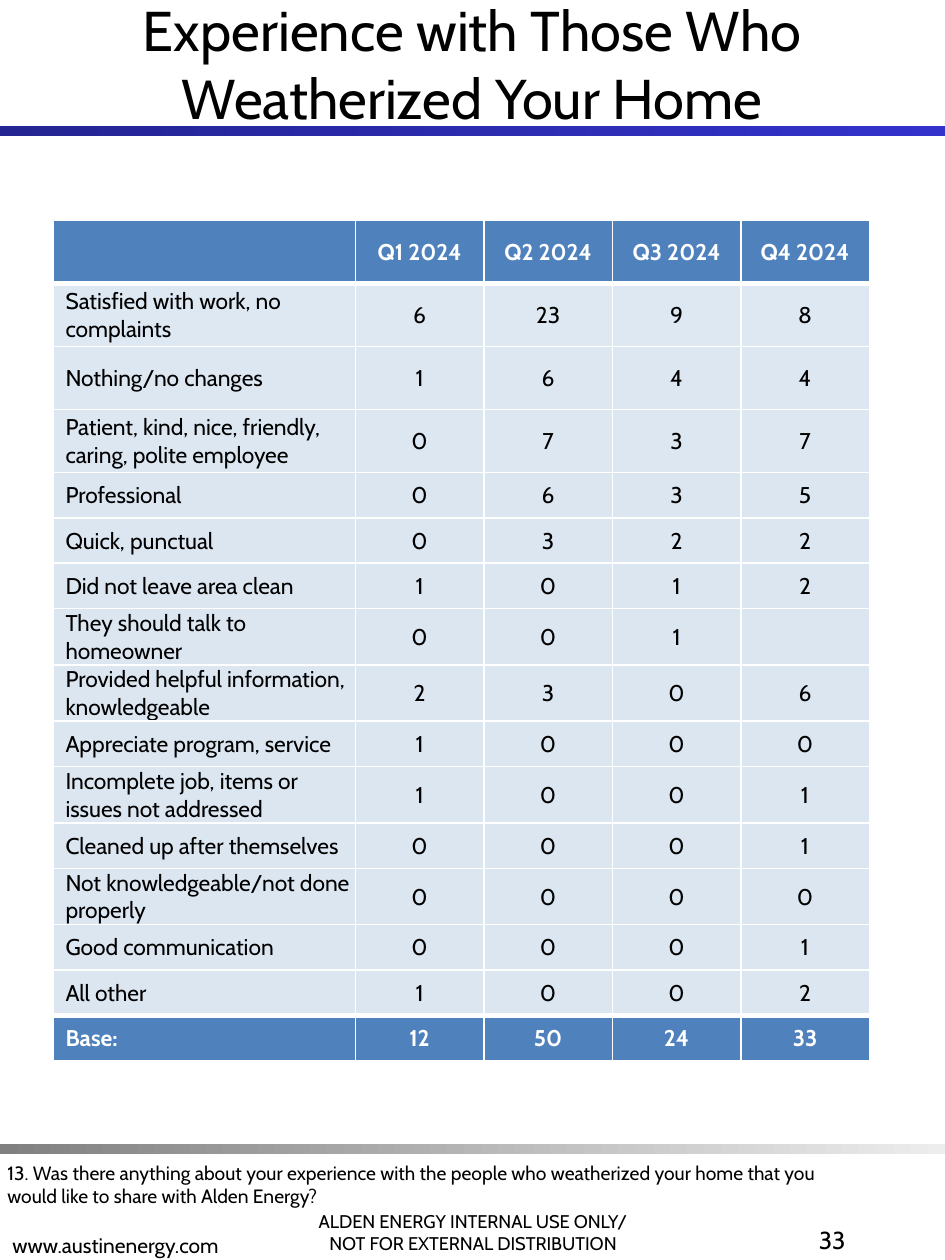
from dataclasses import dataclass

from lxml import etree
from pptx import Presentation
from pptx.dml.color import RGBColor
from pptx.enum.shapes import MSO_SHAPE
from pptx.enum.text import MSO_ANCHOR, MSO_AUTO_SIZE, PP_ALIGN
from pptx.oxml.ns import qn
from pptx.util import Inches, Pt

LEFT, CENTER, RIGHT = PP_ALIGN.LEFT, PP_ALIGN.CENTER, PP_ALIGN.RIGHT
TOP, MIDDLE, BOTTOM = MSO_ANCHOR.TOP, MSO_ANCHOR.MIDDLE, MSO_ANCHOR.BOTTOM
RECTANGLE = MSO_SHAPE.RECTANGLE
FIXED_SIZE = MSO_AUTO_SIZE.NONE


@dataclass(frozen=True)
class Theme:
    font: str = "Cabin"
    ink: str = "000000"
    white: str = "FFFFFF"
    accent: str = "4F81BD"
    first_row: str = "DEE8F3"
    tall_row: str = "DDE7F2"
    body_row: str = "DCE6F1"
    title_bar: tuple = ("242492", "3333CC")
    footer_bar: tuple = ("808080", "EDEDED")
    title_size: float = 32
    table_size: float = 13
    question_size: float = 11
    notice_size: float = 10.5
    address_size: float = 12
    number_size: float = 14
    thin_line: float = 1
    thick_line: float = 3


THEME = Theme()

HEADINGS = ("", "Q1 2024", "Q2 2024", "Q3 2024", "Q4 2024")
ANSWERS = (
    ("Satisfied with work, no complaints", 6, 23, 9, 8),
    ("Nothing/no changes", 1, 6, 4, 4),
    ("Patient, kind, nice, friendly, caring, polite employee", 0, 7, 3, 7),
    ("Professional", 0, 6, 3, 5),
    ("Quick, punctual", 0, 3, 2, 2),
    ("Did not leave area clean", 1, 0, 1, 2),
    ("They should talk to homeowner", 0, 0, 1, ""),
    ("Provided helpful information, knowledgeable", 2, 3, 0, 6),
    ("Appreciate program, service", 1, 0, 0, 0),
    ("Incomplete job, items or issues not addressed", 1, 0, 0, 1),
    ("Cleaned up after themselves", 0, 0, 0, 1),
    ("Not knowledgeable/not done properly", 0, 0, 0, 0),
    ("Good communication", 0, 0, 0, 1),
    ("All other", 1, 0, 0, 2),
)
BASE = ("Base:", 12, 50, 24, 33)
TALL_ROWS = 4  # heading and the first three answers


def write_text(frame, text, size, color=THEME.ink, align=LEFT, bold=False):
    """Fill a text frame, one paragraph for each line of text."""
    frame.word_wrap = True
    for index, line in enumerate(text.split("\n")):
        para = frame.add_paragraph() if index else frame.paragraphs[0]
        para.alignment = align
        span = para.add_run()
        span.text = line
        span.font.name = THEME.font
        span.font.size = Pt(size)
        span.font.bold = bold
        span.font.color.rgb = RGBColor.from_string(color)


def place_text(page, box, text, size, anchor=TOP, **style):
    frame = page.shapes.add_textbox(*map(Inches, box)).text_frame
    frame.vertical_anchor = anchor
    write_text(frame, text, size, **style)


def place_bar(page, box, colors):
    bar = page.shapes.add_shape(RECTANGLE, *map(Inches, box))
    bar.shadow.inherit = False
    bar.line.fill.background()
    bar.fill.gradient()
    bar.fill.gradient_angle = 0
    for stop, color in zip(bar.fill.gradient_stops, colors):
        stop.color.rgb = RGBColor.from_string(color)


def place_title(page, box, text):
    title = page.shapes.title
    title.left, title.top, title.width, title.height = map(Inches, box)
    frame = title.text_frame
    frame.auto_size = FIXED_SIZE
    frame.vertical_anchor = MIDDLE
    write_text(frame, text, THEME.title_size, align=CENTER)


def set_borders(cell, top, bottom):
    properties = cell._tc.get_or_add_tcPr()
    thin = THEME.thin_line
    for side, width in (("L", thin), ("R", thin), ("T", top), ("B", bottom)):
        line = etree.SubElement(properties, qn(f"a:ln{side}"), w=str(Pt(width)))
        fill = etree.SubElement(line, qn("a:solidFill"))
        etree.SubElement(fill, qn("a:srgbClr"), val=THEME.white)


def format_cell(cell, value, is_label, fill, top, bottom, **style):
    cell.margin_left = Inches(0.1 if is_label else 0.01)
    cell.margin_right = cell.margin_top = Inches(0.01)
    cell.margin_bottom = 0
    cell.vertical_anchor = MIDDLE
    set_borders(cell, top, bottom)
    cell.fill.solid()
    cell.fill.fore_color.rgb = RGBColor.from_string(fill)
    if value != "":
        write_text(cell.text_frame, str(value), THEME.table_size,
                   align=LEFT if is_label else CENTER, **style)


def place_table(page, box):
    rows = (HEADINGS, *ANSWERS, BASE)
    last = len(rows) - 1
    table = page.shapes.add_table(len(rows), len(HEADINGS), *map(Inches, box)).table
    table.horz_banding = False
    for index, column in enumerate(table.columns):
        column.width = Inches(1.02 if index else 2.4)
    for index, values in enumerate(rows):
        table.rows[index].height = Inches(0.5 if index < TALL_ROWS else 0.36)
        strong = index in (0, last)
        if strong:
            fill = THEME.accent
        elif index == 1:
            fill = THEME.first_row
        else:
            fill = THEME.tall_row if index < TALL_ROWS else THEME.body_row
        # Thick lines part the heading and the base from the answers
        top = THEME.thick_line if index in (1, last) else THEME.thin_line
        bottom = THEME.thick_line if index in (0, last - 1) else THEME.thin_line
        for position, value in enumerate(values):
            format_cell(table.cell(index, position), value, position == 0,
                        fill, top, bottom, bold=strong,
                        color=THEME.white if strong else THEME.ink)


def place_footer(page, box):
    left, top, width, height = box
    place_bar(page, (left, top, width, 0.08), THEME.footer_bar)
    place_text(page, (left + 2.16, top + 0.25, 3.19, 0.67),
               "ALDEN ENERGY INTERNAL USE ONLY/\nNOT FOR EXTERNAL DISTRIBUTION",
               THEME.notice_size, anchor=BOTTOM, align=CENTER)
    place_text(page, (left, top + 0.28, 3.19, 0.67), "www.austinenergy.com",
               THEME.address_size, anchor=BOTTOM)
    place_text(page, (left + 5.25, top + 0.59, 1.56, 0.67), "33",
               THEME.number_size, align=RIGHT)
    place_text(page, (left - 0.04, top + 0.09, 6.85, 0.47),
               "13. Was there anything about your experience with the people who "
               "weatherized your home that you would like to share with Alden Energy?",
               THEME.question_size)


def main():
    deck = Presentation()
    deck.slide_width, deck.slide_height = Inches(7.5), Inches(10)
    page = deck.slides.add_slide(deck.slide_layouts[5])

    # Title and its rule
    place_bar(page, (0, 1, 7.5, 0.08), THEME.title_bar)
    place_title(page, (0, 0, 7.5, 1),
                "Experience with Those Who Weatherized Your Home")
    # Answers by quarter
    place_table(page, (0.42, 1.75, 6.48, 6.32))
    # Question, notice, address and page number
    place_footer(page, (0, 9.08, 7.5, 0.92))

    deck.save("out.pptx")


if __name__ == "__main__":
    main()
